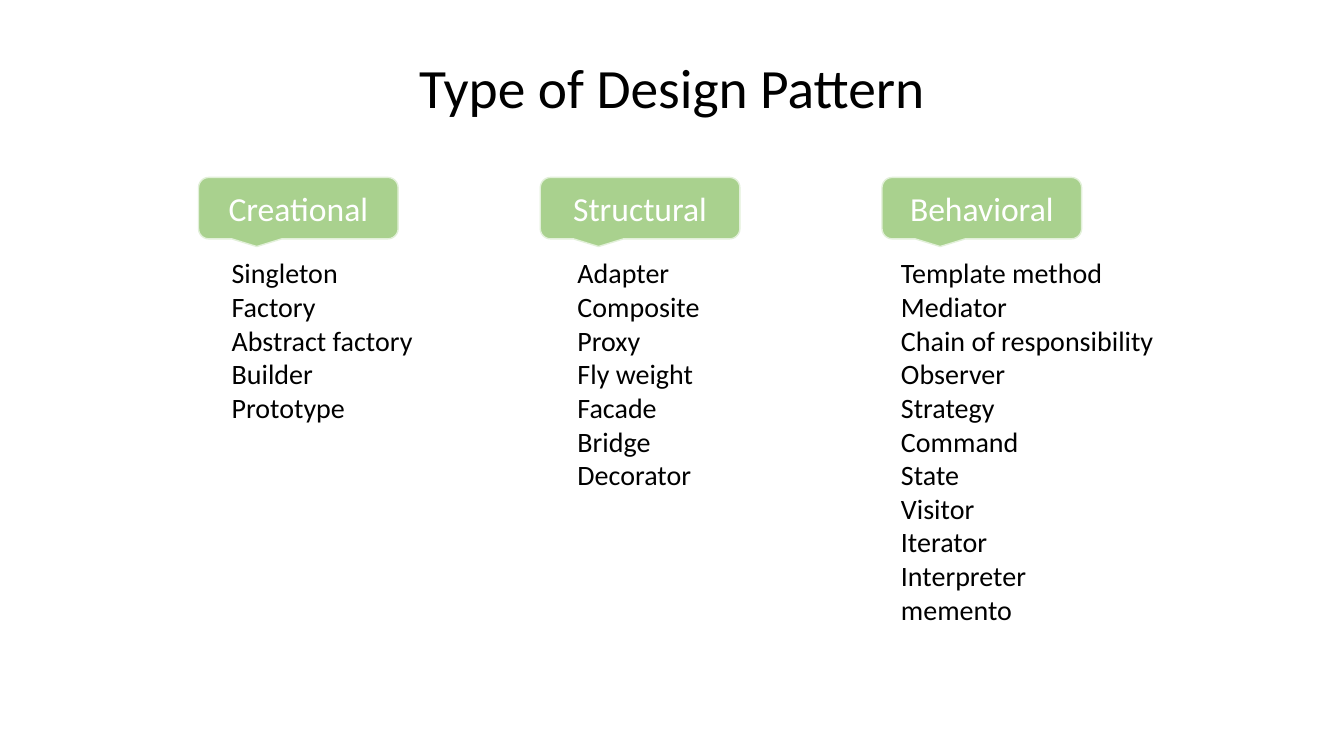
from pptx import Presentation
from pptx.dml.color import RGBColor
from pptx.enum.shapes import MSO_SHAPE
from pptx.enum.text import MSO_ANCHOR, MSO_AUTO_SIZE, PP_ALIGN
from pptx.util import Pt

BLACK = RGBColor(0x00, 0x00, 0x00)
WHITE = RGBColor(0xFF, 0xFF, 0xFF)
GREEN = RGBColor(0xA9, 0xD1, 0x8E)
PALE_GREEN = RGBColor(0xE2, 0xF0, 0xD9)

FIRST_HEADING_LEFT = 141.8
HEADING_STEP = 244.1
LINE_HEIGHT = 24.2

CATEGORIES = [
    ("Creational", 158.4, 190.1,
     ["Singleton", "Factory", "Abstract factory", "Builder", "Prototype"]),
    ("Structural", 405.4, 190.1,
     ["Adapter", "Composite", "Proxy", "Fly weight", "Facade", "Bridge",
      "Decorator"]),
    ("Behavioral", 636.5, 237.6,
     ["Template method", "Mediator", "Chain of responsibility", "Observer",
      "Strategy", "Command", "State", "Visitor", "Iterator", "Interpreter",
      "memento"]),
]


def write_text(frame, lines, size, color=BLACK, align=PP_ALIGN.LEFT,
               anchor=MSO_ANCHOR.TOP, spacing=None):
    """Fill a text frame with one paragraph per line."""
    frame.word_wrap = True
    frame.vertical_anchor = anchor
    for index, line in enumerate(lines):
        paragraph = frame.add_paragraph() if index else frame.paragraphs[0]
        paragraph.alignment = align
        paragraph.line_spacing = spacing
        run = paragraph.add_run()
        run.text = line
        run.font.name = "Calibri"
        run.font.size = Pt(size)
        run.font.color.rgb = color


def add_title(slide, title):
    """Add the centred slide title."""
    heading = slide.shapes.add_textbox(Pt(121), Pt(37.4), Pt(717.8), Pt(54))
    write_text(heading.text_frame, [title], size=39.6, align=PP_ALIGN.CENTER,
               anchor=MSO_ANCHOR.MIDDLE, spacing=0.9)


def add_patterns(slide, patterns, left, width):
    """Add the list of patterns in one category."""
    height = len(patterns) * LINE_HEIGHT + 7.2 * 5
    pattern_list = slide.shapes.add_textbox(
        Pt(left), Pt(179.3), Pt(width), Pt(height))
    write_text(pattern_list.text_frame, patterns, size=20)
    pattern_list.text_frame.auto_size = MSO_AUTO_SIZE.SHAPE_TO_FIT_TEXT


def add_category(slide, category, left):
    """Add the green callout that names a category."""
    callout = slide.shapes.add_shape(
        MSO_SHAPE.ROUNDED_RECTANGULAR_CALLOUT,
        Pt(left), Pt(126.7), Pt(142.6), Pt(43.9))
    callout.shadow.inherit = False
    callout.fill.solid()
    callout.fill.fore_color.rgb = GREEN
    callout.line.color.rgb = PALE_GREEN
    callout.line.width = Pt(1)
    write_text(callout.text_frame, [category], size=24, color=WHITE,
               align=PP_ALIGN.CENTER, anchor=MSO_ANCHOR.MIDDLE)


def main():
    """Build the slide and save it."""
    deck = Presentation()
    deck.slide_width, deck.slide_height = Pt(960), Pt(540)
    slide = deck.slides.add_slide(deck.slide_layouts[6])
    add_title(slide, "Type of Design Pattern")
    for column, (category, left, width, patterns) in enumerate(CATEGORIES):
        add_patterns(slide, patterns, left, width)
        add_category(slide, category,
                     FIRST_HEADING_LEFT + column * HEADING_STEP)
    deck.save("out.pptx")


main()
